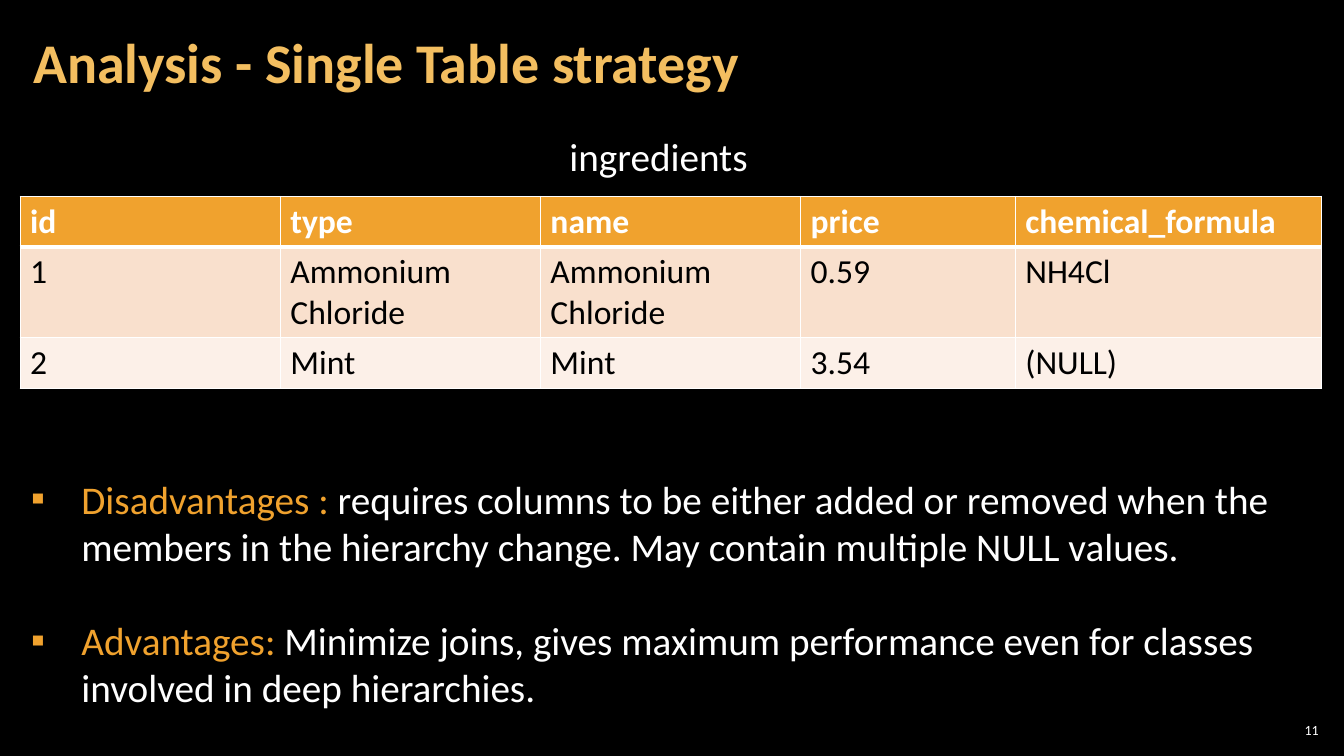
"""Build the Single Table strategy analysis slide."""
import pptx
import pptx.util
import pptx.dml.color
import pptx.enum.text
import pptx.oxml
import pptx.oxml.ns

RGB = pptx.dml.color.RGBColor
ALIGN = pptx.enum.text.PP_ALIGN
ANCHOR = pptx.enum.text.MSO_ANCHOR
Inches = pptx.util.Inches
Pt = pptx.util.Pt

BLACK = RGB(0x00, 0x00, 0x00)
WHITE = RGB(0xFF, 0xFF, 0xFF)
ORANGE = RGB(0xF0, 0xA2, 0x2E)
GOLD = RGB(0xF3, 0xBE, 0x60)
ROW_FILLS = [ORANGE, RGB(0xF9, 0xE0, 0xCD), RGB(0xFC, 0xF0, 0xE8)]

TITLE = "Analysis - Single Table strategy"
TABLE_NAME = "ingredients"
PAGE = "11"
INGREDIENTS = [
    ["id", "type", "name", "price", "chemical_formula"],
    ["1", "Ammonium Chloride", "Ammonium Chloride", "0.59", "NH4Cl"],
    ["2", "Mint", "Mint", "3.54", "(NULL)"],
]
POINTS = [
    ("Disadvantages : ", "requires columns to be either added or removed when the "
     "members in the hierarchy change. May contain multiple NULL values."),
    ("Advantages: ", "Minimize joins, gives maximum performance even for classes "
     "involved in deep hierarchies."),
]
COL_WIDTHS = [2.58, 2.58, 2.58, 2.13, 3.04]
ROW_HEIGHTS = [0.5, 0.9, 0.5]
NS = pptx.oxml.ns.nsdecls("a")


def add_text(p, text, size=28, color=WHITE, bold=False):
    r = p.add_run()
    r.text = text
    r.font.name = "Calibri"
    r.font.size = Pt(size)
    r.font.bold = bold
    r.font.color.rgb = color


def add_box(s, box, anchor=ANCHOR.TOP, margin_x=0.1, margin_y=0.05):
    tf = s.shapes.add_textbox(*map(Inches, box)).text_frame
    tf.word_wrap = True
    tf.vertical_anchor = anchor
    tf.margin_left = tf.margin_right = Inches(margin_x)
    tf.margin_top = tf.margin_bottom = Inches(margin_y)
    return tf


def add_bullet(p):
    pPr = p._p.get_or_add_pPr()
    pPr.set("marL", str(Inches(0.5)))
    pPr.set("indent", str(-Inches(0.5)))
    for xml in (f'<a:buClr {NS}><a:srgbClr val="{ORANGE}"/></a:buClr>',
                f'<a:buFont {NS} typeface="Calibri"/>',
                f'<a:buChar {NS} char="▪"/>'):
        pPr.append(pptx.oxml.parse_xml(xml))


def add_borders(cell, **widths):
    tcPr = cell._tc.get_or_add_tcPr()
    for i, side in enumerate("LRTB"):
        tcPr.insert(i, pptx.oxml.parse_xml(
            f'<a:ln{side} {NS} w="{Pt(widths.get(side, 1))}"><a:solidFill>'
            f'<a:srgbClr val="{WHITE}"/></a:solidFill></a:ln{side}>'))


def add_ingredients(s):
    table = s.shapes.add_table(
        len(ROW_HEIGHTS), len(COL_WIDTHS), Inches(0.2), Inches(1.95),
        Inches(sum(COL_WIDTHS)), Inches(sum(ROW_HEIGHTS))).table
    for col, width in zip(table.columns, COL_WIDTHS):
        col.width = Inches(width)
    for i, (row, height) in enumerate(zip(table.rows, ROW_HEIGHTS)):
        row.height = Inches(height)
        header = i == 0
        for cell, text in zip(row.cells, INGREDIENTS[i]):
            cell.fill.solid()
            cell.fill.fore_color.rgb = ROW_FILLS[i]
            add_text(cell.text_frame.paragraphs[0], text, size=24,
                     color=WHITE if header else BLACK, bold=header)
            add_borders(cell, B=3 if header else 1, T=3 if i == 1 else 1)


def main():
    prs = pptx.Presentation()
    prs.slide_width, prs.slide_height = Inches(13.33), Inches(7.5)
    s = prs.slides.add_slide(prs.slide_layouts[6])
    s.background.fill.solid()
    s.background.fill.fore_color.rgb = BLACK

    p = add_box(s, (12.65, 7.14, 0.47, 0.21), ANCHOR.MIDDLE, 0.04, 0.04).paragraphs[0]
    p.alignment = ALIGN.RIGHT
    add_text(p, PAGE, size=10)

    add_ingredients(s)

    p = add_box(s, (0.21, 0.04, 10.47, 1.21), ANCHOR.MIDDLE, 0.12, 0.04).paragraphs[0]
    p.line_spacing = 0.9
    add_text(p, TITLE, size=40, color=GOLD, bold=True)

    add_text(add_box(s, (5.55, 1.26, 2, 0.57)).paragraphs[0], TABLE_NAME)

    tf = add_box(s, (0.21, 4.17, 12.9, 2.93), ANCHOR.BOTTOM)
    for i, (label, detail) in enumerate(POINTS):
        p = tf.add_paragraph() if i else tf.paragraphs[0]
        if i:
            p.space_before = Pt(34)
        add_bullet(p)
        add_text(p, label, color=ORANGE)
        add_text(p, detail)

    prs.save("out.pptx")


if __name__ == "__main__":
    main()
